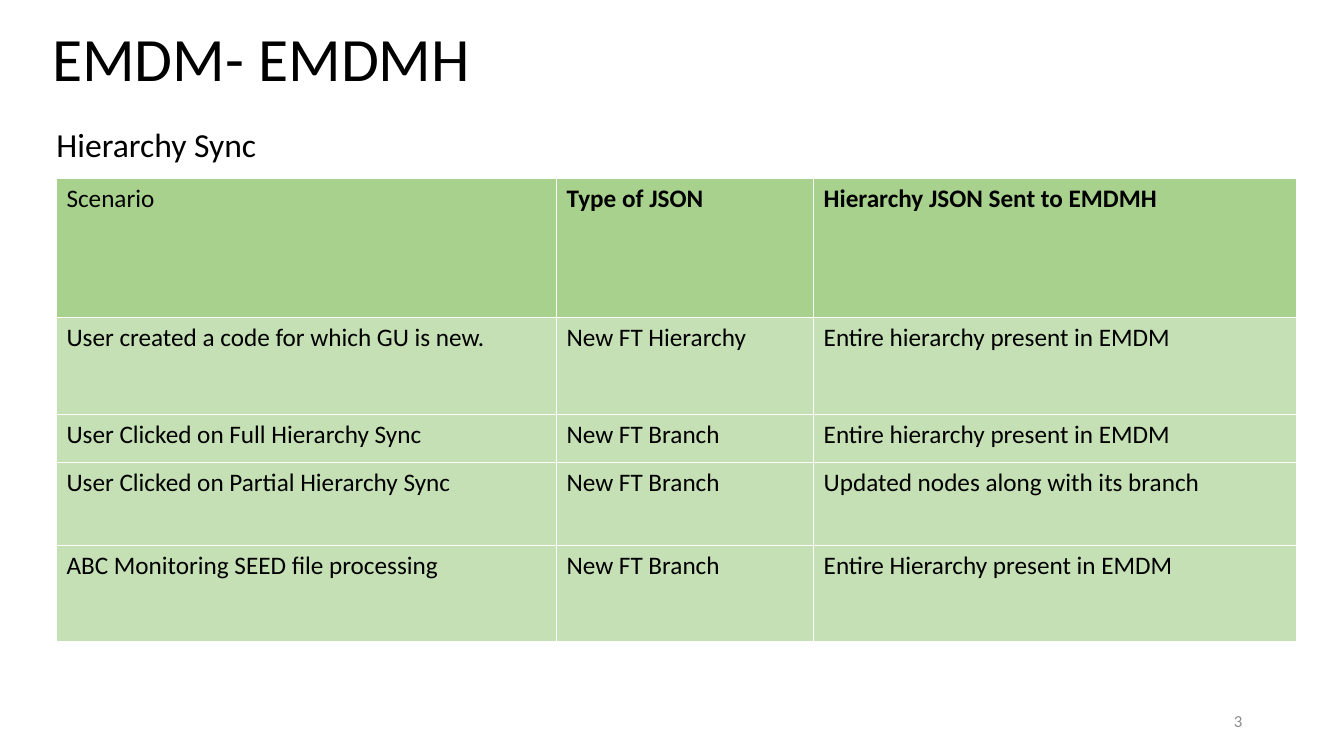
import dataclasses
import lxml.etree
import pptx
import pptx.dml.color
import pptx.enum.text
import pptx.oxml.ns
import pptx.util

Inches = pptx.util.Inches
Align = pptx.enum.text.PP_ALIGN
Anchor = pptx.enum.text.MSO_ANCHOR


@dataclasses.dataclass(frozen=True)
class Theme:
    font: str = "Calibri"
    ink: str = "000000"
    muted: str = "8C8C8C"
    header: str = "A9D18E"
    body: str = "C5E0B4"
    border: str = "FFFFFF"
    title: int = 44
    sub: int = 24
    cell: int = 18
    number: int = 12


THEME = Theme()
WIDTHS = (4.96, 2.55, 4.79)
HEIGHTS = (1.38, 0.96, 0.48, 0.82, 0.96)
ROWS = (
    ("Scenario", "Type of JSON", "Hierarchy JSON Sent to EMDMH"),
    ("User created a code for which GU is new.", "New FT Hierarchy",
     "Entire hierarchy present in EMDM"),
    ("User Clicked on Full Hierarchy Sync", "New FT Branch",
     "Entire hierarchy present in EMDM"),
    ("User Clicked on Partial Hierarchy Sync", "New FT Branch",
     "Updated nodes along with its branch"),
    ("ABC Monitoring SEED file processing", "New FT Branch",
     "Entire Hierarchy present in EMDM"),
)


def paint(text):
    return pptx.dml.color.RGBColor.from_string(text)


def write(frame, text, size, color=THEME.ink, bold=False):
    frame.text = text
    font = frame.paragraphs[0].runs[0].font
    font.name = THEME.font
    font.size = pptx.util.Pt(size)
    font.bold = bold
    font.color.rgb = paint(color)


def add_label(slide, place, text, size, color=THEME.ink, align=Align.LEFT,
              space=0.9, inset=True):
    frame = slide.shapes.add_textbox(*map(Inches, place)).text_frame
    frame.word_wrap = True
    frame.vertical_anchor = Anchor.MIDDLE
    if not inset:
        frame.margin_left = frame.margin_right = 0
        frame.margin_top = frame.margin_bottom = 0
    write(frame, text, size, color)
    line = frame.paragraphs[0]
    line.alignment = align
    line.line_spacing = space


def add_edges(cell):
    props = cell._tc.get_or_add_tcPr()
    qn = pptx.oxml.ns.qn
    for spot, side in enumerate(("a:lnL", "a:lnR", "a:lnT", "a:lnB")):
        edge = lxml.etree.Element(qn(side), w=str(pptx.util.Pt(1)))
        fill = lxml.etree.SubElement(edge, qn("a:solidFill"))
        lxml.etree.SubElement(fill, qn("a:srgbClr"), val=THEME.border)
        props.insert(spot, edge)


def add_grid(slide, left, top):
    table = slide.shapes.add_table(
        len(ROWS), len(WIDTHS), Inches(left), Inches(top),
        Inches(sum(WIDTHS)), Inches(sum(HEIGHTS))).table
    for column, width in zip(table.columns, WIDTHS):
        column.width = Inches(width)
    for row, height in zip(table.rows, HEIGHTS):
        row.height = Inches(height)
    for r, texts in enumerate(ROWS):
        for c, text in enumerate(texts):
            cell = table.cell(r, c)
            write(cell.text_frame, text, THEME.cell, bold=r == 0 and c > 0)
            cell.fill.solid()
            cell.fill.fore_color.rgb = paint(THEME.body if r else THEME.header)
            add_edges(cell)


def main():
    deck = pptx.Presentation()
    deck.slide_width = Inches(13.33)
    deck.slide_height = Inches(7.5)
    slide = deck.slides.add_slide(deck.slide_layouts[6])
    add_label(slide, (9.42, 6.95, 3, 0.4), "3", THEME.number, THEME.muted,
              Align.RIGHT, 1.0)
    add_label(slide, (0.42, 0.15, 12, 0.93), "EMDM- EMDMH", THEME.title)
    add_label(slide, (0.56, 1.25, 11.89, 0.4), "Hierarchy Sync", THEME.sub,
              inset=False)
    add_grid(slide, 0.56, 1.77)
    deck.save("out.pptx")


main()
